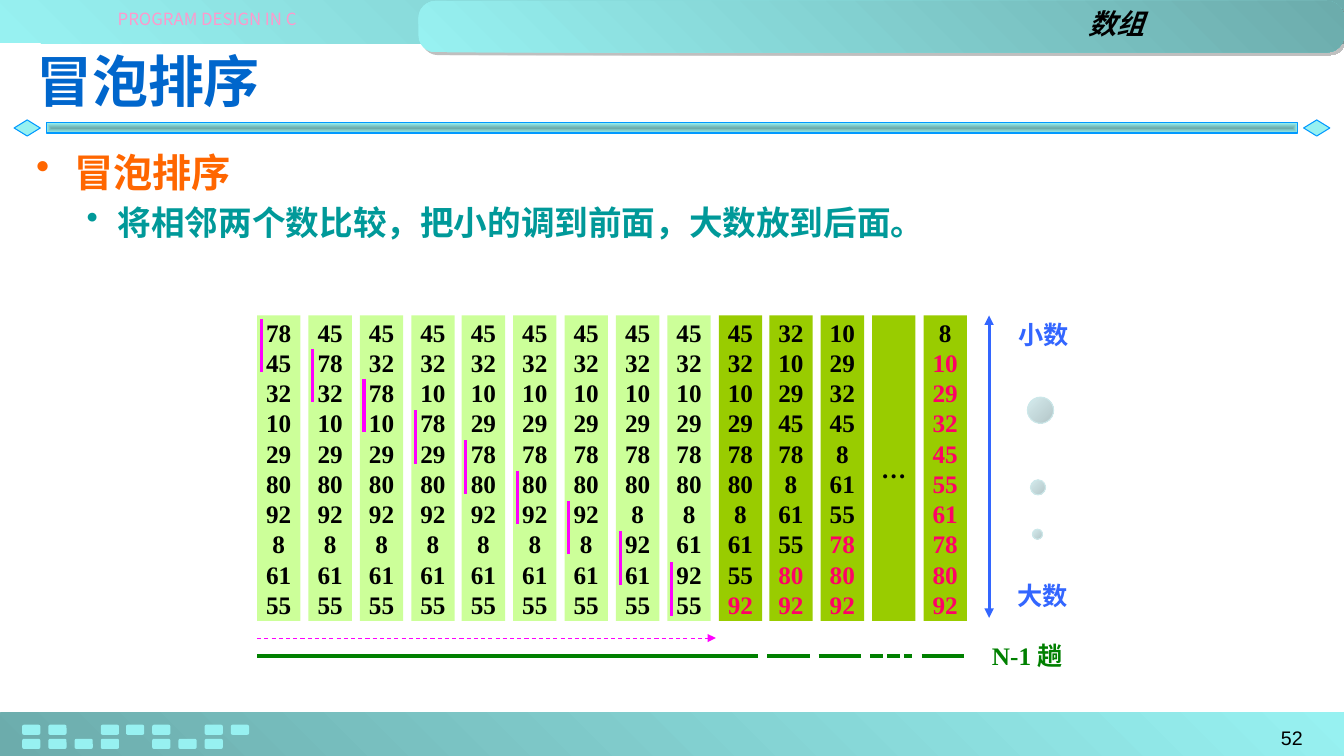
from dataclasses import dataclass
from typing import Optional

from lxml import etree
from pptx import Presentation
from pptx.dml.color import RGBColor
from pptx.enum.dml import MSO_LINE
from pptx.enum.shapes import MSO_CONNECTOR, MSO_SHAPE
from pptx.enum.text import MSO_ANCHOR, PP_ALIGN
from pptx.oxml.ns import qn
from pptx.util import Pt

PX = 9144  # one px is a hundredth of an inch
WIDE, HIGH = 1333, 750

RECT, ROUND = MSO_SHAPE.RECTANGLE, MSO_SHAPE.ROUNDED_RECTANGLE
DIAMOND, OVAL = MSO_SHAPE.DIAMOND, MSO_SHAPE.OVAL
LEFT, MID, RIGHT = PP_ALIGN.LEFT, PP_ALIGN.CENTER, PP_ALIGN.RIGHT
TOP, CENTER = MSO_ANCHOR.TOP, MSO_ANCHOR.MIDDLE
DASH, DOTS = MSO_LINE.DASH, MSO_LINE.SQUARE_DOT

BLACK = RGBColor(0, 0, 0)
AQUA, TEAL = RGBColor(0x97, 0xF1, 0xF1), RGBColor(0x6C, 0xAC, 0xAC)
SKY, BLUE = RGBColor(0x00, 0x99, 0xFF), RGBColor(0x33, 0x66, 0xFF)
NAVY, ORANGE = RGBColor(0x00, 0x66, 0xCC), RGBColor(0xFF, 0x66, 0x00)
SEA, PINK = RGBColor(0x00, 0x99, 0x99), RGBColor(0xFF, 0x99, 0xCC)
LIME, OLIVE = RGBColor(0xCC, 0xFF, 0x99), RGBColor(0x99, 0xCC, 0x00)
RED, MAGENTA = RGBColor(0xFF, 0x00, 0x66), RGBColor(0xFF, 0x00, 0xFF)
GREEN = RGBColor(0x00, 0x80, 0x00)
PALE, GREY = RGBColor(0xD6, 0xEC, 0xEE), RGBColor(0xB3, 0xC6, 0xC8)
RIM = RGBColor(0xCC, 0xE8, 0xEA)

ARIAL, TIMES = "Arial", "Times New Roman"
SANS, HEAD = "Noto Sans CJK SC", "Noto Sans CJK JP"

DATA = [78, 45, 32, 10, 29, 80, 92, 8, 61, 55]
COL_X, COL_Y, COL_W, COL_H = 255, 313, 43, 303
STEP, ROW = 50.85, 30.2


@dataclass
class Box:
    kind: int
    x: int
    y: int
    w: int
    h: int
    fill: RGBColor
    fade: Optional[RGBColor] = None
    angle: int = 45
    line: Optional[RGBColor] = None
    adj: Optional[float] = None


@dataclass
class Text:
    x: int
    y: int
    w: int
    h: int
    words: str
    size: int
    font: str
    color: RGBColor
    align: int = LEFT
    bold: bool = True
    italic: bool = False
    anchor: int = TOP
    wrap: bool = True
    pad: int = 5


@dataclass
class Line:
    x1: int
    y1: int
    x2: int
    y2: int
    color: RGBColor
    width: float
    dash: Optional[int] = None
    ends: tuple = ()


def style(para, size: int, font: str, color: RGBColor, bold: bool = True, italic: bool = False) -> None:
    for run in para.runs:
        face = run.font
        face.size, face.bold, face.italic, face.name = Pt(size), bold, italic, font
        face.color.rgb = color
        east = SANS if font in (ARIAL, TIMES) else font
        etree.SubElement(run._r.get_or_add_rPr(), qn("a:ea"), typeface=east)


def draw_box(slide, box: Box):
    shape = slide.shapes.add_shape(box.kind, box.x * PX, box.y * PX, box.w * PX, box.h * PX)
    shape.shadow.inherit = False
    if box.adj is not None:
        shape.adjustments[0] = box.adj
    if box.fade is None:
        shape.fill.solid()
        shape.fill.fore_color.rgb = box.fill
    else:
        shape.fill.gradient()
        shape.fill.gradient_angle = box.angle
        for stop, color, pos in zip(shape.fill.gradient_stops, (box.fill, box.fade), (0, 1)):
            stop.color.rgb, stop.position = color, pos
    if box.line is None:
        shape.line.fill.background()
    else:
        shape.line.color.rgb, shape.line.width = box.line, Pt(0.75)
    return shape


def draw_text(slide, text: Text) -> None:
    box = slide.shapes.add_textbox(text.x * PX, text.y * PX, text.w * PX, text.h * PX)
    frame = box.text_frame
    frame.word_wrap, frame.vertical_anchor = text.wrap, text.anchor
    frame.margin_top = frame.margin_bottom = text.pad * PX
    frame.text = text.words
    para = frame.paragraphs[0]
    para.alignment = text.align
    style(para, text.size, text.font, text.color, text.bold, text.italic)


def draw_line(slide, line: Line) -> None:
    wire = slide.shapes.add_connector(
        MSO_CONNECTOR.STRAIGHT, line.x1 * PX, line.y1 * PX, line.x2 * PX, line.y2 * PX)
    wire.line.color.rgb, wire.line.width = line.color, Pt(line.width)
    if line.dash is not None:
        wire.line.dash_style = line.dash
    for end in line.ends:
        etree.SubElement(wire.line._get_or_add_ln(), qn(end), type="triangle")
    etree.SubElement(wire._element.spPr, qn("a:effectLst"))


def cast_shade(shape) -> None:
    """Give the header tab a hard grey shadow at its lower right."""
    effect = shape._element.spPr.find(qn("a:effectLst"))
    shade = etree.SubElement(effect, qn("a:outerShdw"), dist="35560", dir="2700000", algn="ctr", rotWithShape="0")
    color = etree.SubElement(shade, qn("a:srgbClr"), val="808080")
    etree.SubElement(color, qn("a:alpha"), val="50000")


def fade_out(shape) -> None:
    """Turn the rule's gradient into one that spreads from its centre."""
    grad = shape._element.spPr.find(qn("a:gradFill"))
    grad.remove(grad.find(qn("a:lin")))
    ring = etree.SubElement(grad, qn("a:path"), path="shape")
    etree.SubElement(ring, qn("a:fillToRect"), l="50000", t="50000", r="50000", b="50000")


def draw_frame(slide) -> None:
    draw_box(slide, Box(RECT, 0, 707, WIDE, 43, TEAL, AQUA))
    draw_box(slide, Box(RECT, 0, 0, WIDE, 43, AQUA, TEAL))
    cast_shade(draw_box(slide, Box(ROUND, 415, 1, 918, 51, AQUA, TEAL, adj=0.33)))
    for x in (14, 1293):
        draw_box(slide, Box(DIAMOND, x, 119, 26, 16, AQUA, line=SKY))
    fade_out(draw_box(slide, Box(RECT, 46, 122, 1241, 10, TEAL, AQUA, line=SKY)))
    for y, marks in ((719, "##.###.##"), (733, "####.###.")):
        for i, mark in enumerate(marks):
            if mark == "#":
                draw_box(slide, Box(ROUND, 22 + round(25.85 * i), y, 18, 10, AQUA))


def draw_body(slide) -> None:
    frame = slide.shapes.add_textbox(26 * PX, 142 * PX, 1281 * PX, 552 * PX).text_frame
    frame.word_wrap = True
    items = (("冒泡排序", 28, ORANGE, 38, 38, 0),
             ("将相邻两个数比较，把小的调到前面，大数放到后面。", 24, SEA, 81, 31, 4.8))
    frame.text = "\n".join(item[0] for item in items)
    for level, (para, item) in enumerate(zip(frame.paragraphs, items)):
        _, size, color, left, hang, gap = item
        para.level = level
        para.line_spacing, para.space_before = Pt(1.2 * size), Pt(gap)
        props = para._p.get_or_add_pPr()
        props.set("marL", str(left * PX))
        props.set("indent", str(-hang * PX))
        etree.SubElement(props, qn("a:buChar"), char="•")
        style(para, size, ARIAL, color)


def col_left(i: int) -> int:
    return COL_X + round(STEP * i)


def sort_steps() -> list:
    """List each state of the first pass, later passes, a gap and the end, with the count of settled numbers."""
    nums, steps, size = DATA[:], [(DATA[:], 0)], len(DATA)
    for turn in range(1, 4):
        for i in range(size - turn):
            if nums[i] > nums[i + 1]:
                nums[i], nums[i + 1] = nums[i + 1], nums[i]
            if turn == 1 and i < size - 2:
                steps.append((nums[:], 0))
        steps.append((nums[:], turn))
    return steps + [(["…"], 0), (sorted(DATA), size - 1)]


def draw_sort(slide) -> None:
    first = len(DATA) - 1
    for i, (nums, done) in enumerate(sort_steps()):
        fill = LIME if i < first else OLIVE
        frame = draw_box(slide, Box(RECT, col_left(i), COL_Y, COL_W, COL_H, fill)).text_frame
        frame.word_wrap, frame.vertical_anchor = False, CENTER
        frame.text = "\n".join(map(str, nums))
        for row, para in enumerate(frame.paragraphs):
            para.alignment, para.line_spacing = MID, Pt(21.6)
            style(para, 18, TIMES, RED if row >= len(nums) - done else BLACK)
    for i in range(first):
        x, y = col_left(i) + 4, 316 + round(ROW * i)
        draw_line(slide, Line(x, y, x, y + 53, MAGENTA, 2.25))
    draw_line(slide, Line(COL_X, 651, 752, 651, GREEN, 3))
    for i, dash in ((10, None), (11, None), (12, DOTS), (13, None)):
        draw_line(slide, Line(col_left(i) - 2, 651, col_left(i) + 40, 651, GREEN, 3, dash))
    draw_line(slide, Line(COL_X, 633, 710, 633, MAGENTA, 0.75, DASH, ("a:tailEnd",)))
    draw_line(slide, Line(981, 313, 981, 613, BLUE, 2.25, None, ("a:headEnd", "a:tailEnd")))
    for x, y, size in ((1024, 525, 10), (1022, 476, 15), (1019, 394, 26)):
        draw_box(slide, Box(OVAL, x, y, size, size, PALE, GREY, 315, RIM))


TEXTS = (
    Text(30, 7, 351, 22, "PROGRAM DESIGN IN C", 12, SANS, PINK, MID, False, wrap=False, pad=2),
    Text(1118, 715, 184, 28, "52", 14, ARIAL, BLACK, RIGHT, False),
    Text(26, 36, 1281, 87, "冒泡排序", 40, HEAD, NAVY, anchor=CENTER),
    Text(504, 2, 641, 43, "数组", 20, ARIAL, BLACK, RIGHT, italic=True),
    Text(1000, 312, 73, 40, "小数", 18, TIMES, BLUE),
    Text(999, 571, 73, 40, "大数", 18, TIMES, BLUE),
    Text(974, 630, 106, 40, "N-1 趟", 18, TIMES, GREEN),
)


def main() -> None:
    deck = Presentation()
    deck.slide_width, deck.slide_height = WIDE * PX, HIGH * PX
    slide = deck.slides.add_slide(deck.slide_layouts[6])
    draw_frame(slide)
    draw_body(slide)
    draw_sort(slide)
    for text in TEXTS:
        draw_text(slide, text)
    deck.save("out.pptx")


if __name__ == "__main__":
    main()
